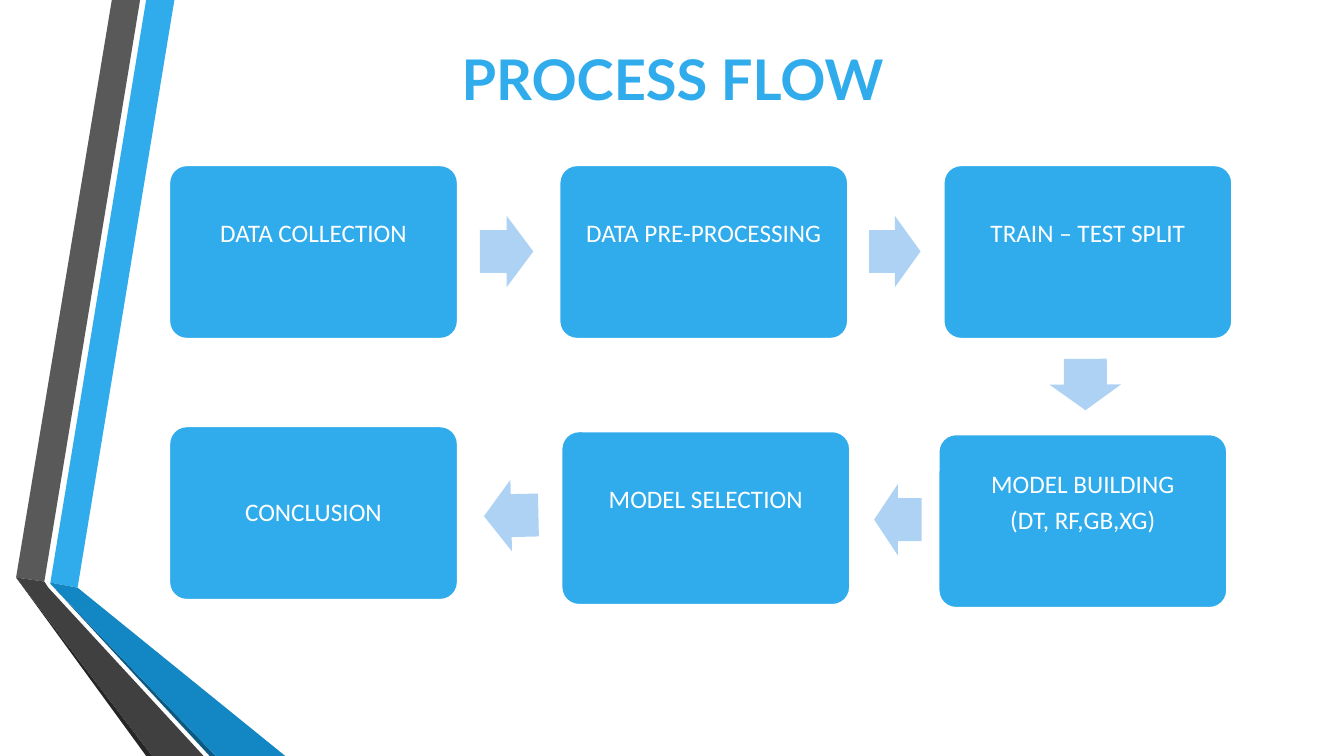
from dataclasses import dataclass

from pptx import Presentation
from pptx import util as u
from pptx.dml.color import RGBColor
from pptx.enum import shapes, text

COLOURS = {
    "sky": "30ACEC",
    "pale": "AED2F4",
    "white": "FFFFFF",
    "grey": "595959",
    "charcoal": "404040",
    "black": "262626",
    "blue": "1287C3",
    "navy": "0C5A82",
}
STEP_WIDTH, STEP_HEIGHT = 2.86, 1.72
ARROW_HEIGHT = 0.71
INSET = 0.07
RAISED = 0.36


@dataclass(frozen=True)
class Ribbon:
    colour: str
    outline: tuple[tuple[float, float], ...]


@dataclass(frozen=True)
class Step:
    label: str
    left: float
    top: float
    lift: float = RAISED


@dataclass(frozen=True)
class Arrow:
    left: float
    top: float
    width: float
    rotation: float = 0


RIBBONS = [
    Ribbon("sky", ((0.5, 5.78), (0.77, 5.83), (1.73, 0), (1.45, 0))),
    Ribbon("grey", ((1.39, 0), (1.11, 0), (0.16, 5.73), (0.44, 5.77))),
    Ribbon("black", ((0.16, 5.73), (1.45, 7.5), (1.51, 7.5))),
    Ribbon("navy", ((0.5, 5.79), (2.08, 7.5), (2.14, 7.5))),
    Ribbon("blue", ((0.5, 5.79), (2.14, 7.5), (2.83, 7.5), (0.77, 5.83), (0.5, 5.78))),
    Ribbon("charcoal", ((2.02, 7.5), (0.48, 5.83), (0.44, 5.77), (0.16, 5.73), (1.51, 7.5))),
]
STEPS = [
    Step("DATA COLLECTION", 1.68, 1.64),
    Step("DATA PRE-PROCESSING", 5.55, 1.64),
    Step("TRAIN – TEST SPLIT", 9.36, 1.64),
    Step("MODEL BUILDING\n(DT, RF,GB,XG)", 9.31, 4.31),
    Step("MODEL SELECTION", 5.57, 4.28),
    Step("CONCLUSION", 1.68, 4.23, lift=0),
]
ARROWS = [
    Arrow(4.76, 2.14, 0.53),
    Arrow(8.62, 2.14, 0.51),
    Arrow(10.51, 3.46, 0.51, 89.7),
    Arrow(8.67, 4.8, 0.47, 180.1),
    Arrow(4.8, 4.76, 0.54, 178.7),
]


def rgb(colour: str) -> RGBColor:
    return RGBColor.from_string(COLOURS[colour])


def paint(shape, colour: str) -> None:
    shape.shadow.inherit = False
    shape.fill.solid()
    shape.fill.fore_color.rgb = rgb(colour)
    shape.line.fill.background()


def write(frame, wording: str, *, font: str, size: float, colour: str,
          bold: bool = False, line_spacing: float = 1, space_after: float = 0) -> None:
    frame.word_wrap = True
    frame.vertical_anchor = text.MSO_ANCHOR.MIDDLE
    frame.text = wording
    for paragraph in frame.paragraphs:
        paragraph.alignment = text.PP_ALIGN.CENTER
        paragraph.line_spacing = line_spacing
        paragraph.space_after = u.Pt(space_after)
        for run in paragraph.runs:
            run.font.name = font
            run.font.size = u.Pt(size)
            run.font.bold = bold
            run.font.color.rgb = rgb(colour)


def draw_ribbon(slide, ribbon: Ribbon) -> None:
    start, *rest = [(u.Inches(x), u.Inches(y)) for x, y in ribbon.outline]
    builder = slide.shapes.build_freeform(*start)
    builder.add_line_segments(rest, close=True)
    paint(builder.convert_to_shape(), ribbon.colour)


def draw_step(slide, step: Step) -> None:
    box = slide.shapes.add_shape(
        shapes.MSO_SHAPE.ROUNDED_RECTANGLE, u.Inches(step.left), u.Inches(step.top),
        u.Inches(STEP_WIDTH), u.Inches(STEP_HEIGHT))
    box.adjustments[0] = 0.1
    paint(box, "sky")
    box.line.color.rgb = rgb("white")
    box.line.width = u.Pt(1.25)
    frame = box.text_frame
    frame.margin_left = frame.margin_right = frame.margin_top = u.Inches(INSET)
    frame.margin_bottom = u.Inches(INSET + step.lift)
    write(frame, step.label, font="Calibri", size=18, colour="white",
          line_spacing=0.9, space_after=6.3)


def draw_arrow(slide, arrow: Arrow) -> None:
    pointer = slide.shapes.add_shape(
        shapes.MSO_SHAPE.RIGHT_ARROW, u.Inches(arrow.left), u.Inches(arrow.top),
        u.Inches(arrow.width), u.Inches(ARROW_HEIGHT))
    pointer.adjustments[0] = 0.6
    pointer.adjustments[1] = 0.5
    pointer.rotation = arrow.rotation
    paint(pointer, "pale")


def main() -> None:
    deck = Presentation()
    deck.slide_width = u.Inches(13.33)
    deck.slide_height = u.Inches(7.5)
    slide = deck.slides.add_slide(deck.slide_layouts[5])

    heading = slide.shapes.title
    heading.left, heading.top = u.Inches(1.97), u.Inches(0.13)
    heading.width, heading.height = u.Inches(9.4), u.Inches(1.29)
    write(heading.text_frame, "PROCESS FLOW", font="Lato", size=40, colour="sky", bold=True)

    for ribbon in RIBBONS:
        draw_ribbon(slide, ribbon)
    for step in STEPS:
        draw_step(slide, step)
    for arrow in ARROWS:
        draw_arrow(slide, arrow)

    deck.save("out.pptx")


if __name__ == "__main__":
    main()
